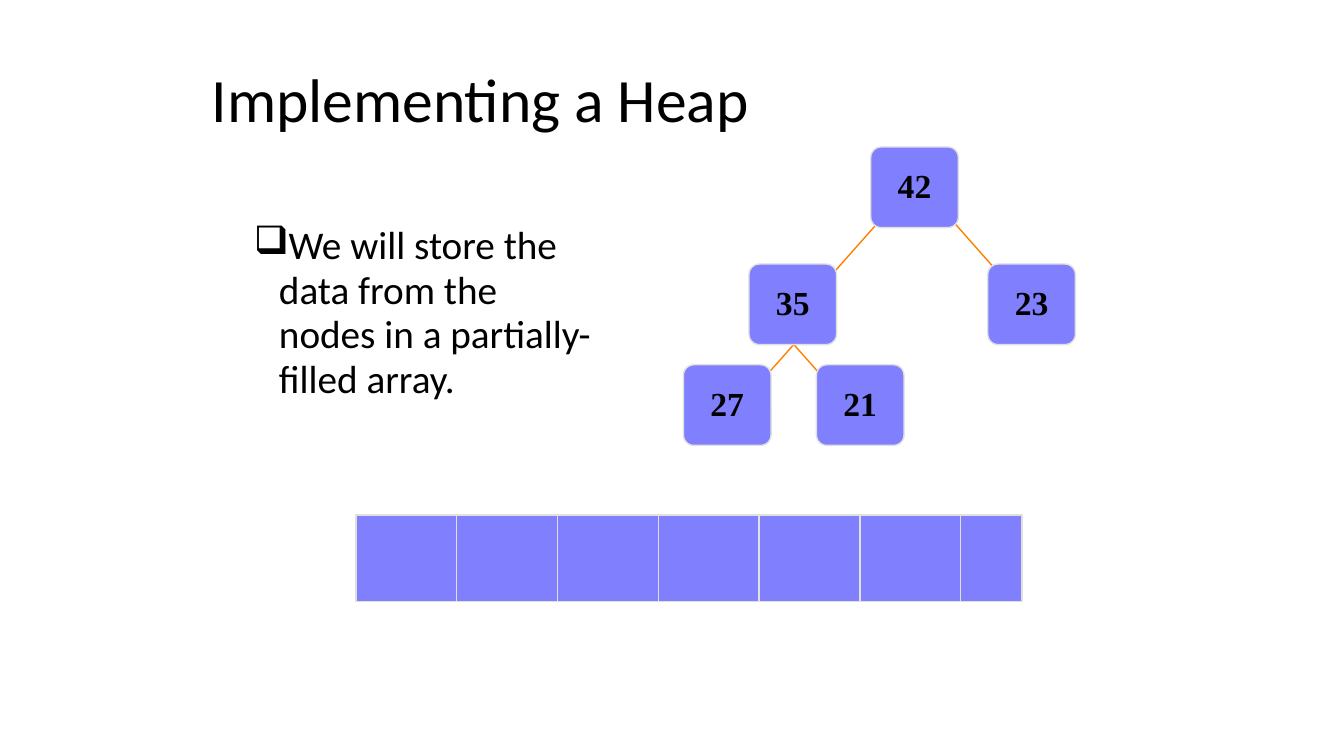
from lxml import etree
from pptx import Presentation
from pptx.dml.color import RGBColor
from pptx.enum.shapes import MSO_CONNECTOR, MSO_SHAPE
from pptx.enum.text import MSO_ANCHOR, MSO_AUTO_SIZE, PP_ALIGN
from pptx.oxml.ns import qn
from pptx.util import Pt

LINE = MSO_CONNECTOR.STRAIGHT
ROUND = MSO_SHAPE.ROUNDED_RECTANGLE
BOX = MSO_SHAPE.RECTANGLE
TOP, MIDDLE = MSO_ANCHOR.TOP, MSO_ANCHOR.MIDDLE
FIXED = MSO_AUTO_SIZE.NONE
LEFT, CENTER = PP_ALIGN.LEFT, PP_ALIGN.CENTER

BLACK = RGBColor(0, 0, 0)
VIOLET = RGBColor(0x80, 0x80, 0xFF)
GREY = RGBColor(0xE0, 0xE0, 0xE0)
ORANGE = RGBColor(0xFF, 0x80, 0)

NODE_W, NODE_H = 62.6, 57.6
NODES = [("21", 583.2, 260.6), ("27", 488.2, 260.6), ("23", 705.6, 188.6),
         ("42", 622, 105), ("35", 535, 188.6)]
EDGE_W, EDGE_H = 44.6, 50.4
EDGES = [(554.4, 231.8, 1), (579.6, 231.8, -1),
         (679, 156.2, 1), (626.4, 159.8, -1)]
ROW_X, ROW_Y, ROW_W, ROW_H = 254.2, 367.9, 475.9, 61.9
CELL_W, CUTS = 72, 6


def write(shape, text, size=24, font="Calibri", bold=False, align=LEFT,
          anchor=TOP, before=0, bullet=None, indent=0):
    """Fill a shape with one formatted paragraph."""
    frame = shape.text_frame
    frame.word_wrap = True
    frame.auto_size = FIXED
    frame.vertical_anchor = anchor
    para = frame.paragraphs[0]
    para.alignment = align
    para.line_spacing = 0.95
    para.space_before = Pt(before)
    run = para.add_run()
    run.text = text
    run.font.size = Pt(size)
    run.font.name = font
    run.font.bold = bold
    run.font.color.rgb = BLACK
    if bullet:
        props = para._p.get_or_add_pPr()
        props.set("marL", str(Pt(indent)))
        props.set("indent", str(-Pt(indent)))
        etree.SubElement(props, qn("a:buChar")).set("char", bullet)


def add_box(slide, kind, x, y, w, h):
    """Add a violet shape with a thin grey outline."""
    box = slide.shapes.add_shape(kind, Pt(x), Pt(y), Pt(w), Pt(h))
    box.shadow.inherit = False
    box.fill.solid()
    box.fill.fore_color.rgb = VIOLET
    box.line.color.rgb = GREY
    box.line.width = Pt(1)
    return box


def add_line(slide, x1, y1, x2, y2, color):
    """Add a thin straight line without a shadow."""
    line = slide.shapes.add_connector(LINE, Pt(x1), Pt(y1), Pt(x2), Pt(y2))
    line.line.color.rgb = color
    line.line.width = Pt(1)
    etree.SubElement(line._element.spPr, qn("a:effectLst"))


def add_node(slide, key, x, y):
    """Add one heap node with its key."""
    node = add_box(slide, ROUND, x, y, NODE_W, NODE_H)
    node.adjustments[0] = 0.13
    write(node, key, font="Times New Roman", bold=True, align=CENTER,
          anchor=MIDDLE)


def add_row(slide):
    """Add the array and the lines between its cells."""
    add_box(slide, BOX, ROW_X, ROW_Y, ROW_W, ROW_H)
    for i in range(1, CUTS + 1):
        x = ROW_X + i * CELL_W
        add_line(slide, x, ROW_Y, x, ROW_Y + ROW_H, GREY)


def main():
    """Build the heap slide and save it."""
    deck = Presentation()
    deck.slide_width, deck.slide_height = Pt(960), Pt(540)
    slide = deck.slides.add_slide(deck.slide_layouts[5])

    title = slide.shapes.title
    title.left, title.top = Pt(144), Pt(27.4)
    title.width, title.height = Pt(612), Pt(90)
    write(title, "Implementing a Heap", size=44, anchor=MIDDLE)

    body = slide.shapes.add_textbox(Pt(174.2), Pt(156.2), Pt(257.8), Pt(324))
    write(body, "We will store the data from the nodes in a "
          "partially-filled array.", size=28, before=7, bullet="\u2751",
          indent=18)

    add_row(slide)
    for x, y, side in EDGES:
        add_line(slide, x, y, x + side * EDGE_W, y + EDGE_H, ORANGE)
    for key, x, y in NODES:
        add_node(slide, key, x, y)
    deck.save("out.pptx")


main()
